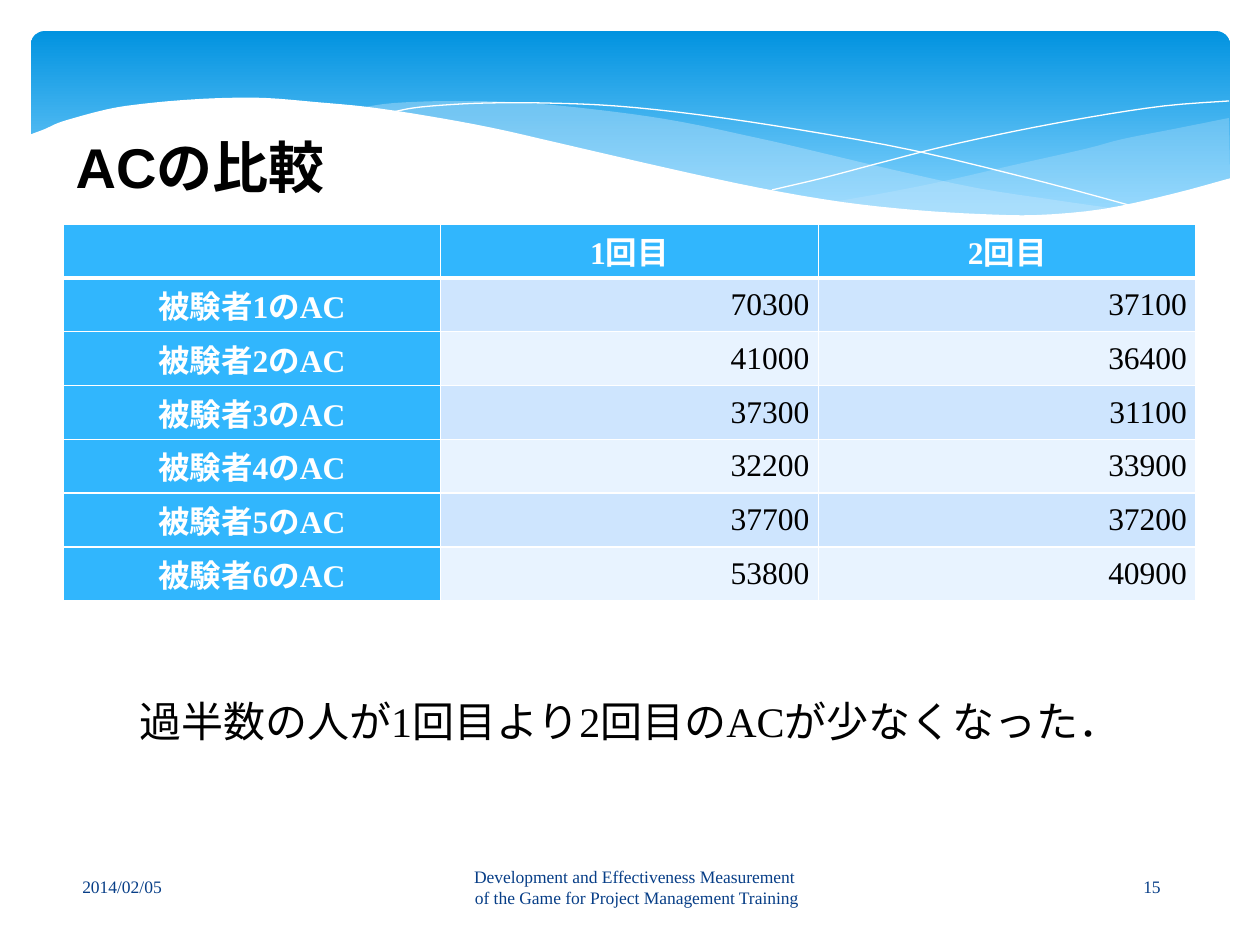
from dataclasses import dataclass
from typing import Optional

from lxml.etree import SubElement
from pptx import Presentation
from pptx.dml.color import RGBColor
from pptx.enum.lang import MSO_LANGUAGE_ID
from pptx.enum.shapes import MSO_SHAPE
from pptx.enum.text import MSO_ANCHOR, MSO_AUTO_SIZE, PP_ALIGN
from pptx.oxml.ns import qn
from pptx.util import Pt

EMU_PER_PX = 914400 / 126
WHITE, BLACK, NAVY = "FFFFFF", "000000", "073E87"
HEADER_BLUE, PALE_BLUE = "31B6FD", "C6E7FC"
BAND_FILLS = ("CEE5FE", "E8F3FF")
SERIF = "Times New Roman"
ACTUAL_COSTS = [
    (70300, 37100), (41000, 36400), (37300, 31100),
    (32200, 33900), (37700, 37200), (53800, 40900),
]

Point = tuple[float, float]


@dataclass
class Curve:
    """Smooth edges joined in order; filled if a fill is given, else a white line."""
    edges: list[list[Point]]
    fill: Optional[str] = None
    opacity: int = 100


@dataclass
class Label:
    text: str
    box: tuple[int, int, int, int]
    size: int = 10
    color: str = NAVY
    anchor: MSO_ANCHOR = MSO_ANCHOR.MIDDLE


CURVES = [
    Curve([
        [(1229, 118), (1174, 129), (1123, 139), (1085, 149), (1014, 165),
         (949, 180), (890, 192), (833, 202)],
        [(833, 202), (906, 210), (954, 214), (1012, 217), (1076, 214),
         (1130, 208), (1178, 197), (1230, 178)],
    ], PALE_BLUE, 29),
    Curve([
        [(1125, 210), (1055, 200), (977, 188), (890, 169), (793, 146),
         (753, 137), (682, 122), (616, 112), (529, 103), (455, 101),
         (394, 103), (360, 108)],
        [(360, 108), (431, 118), (509, 134), (566, 146), (668, 170),
         (757, 189), (838, 203), (910, 212), (989, 217), (1043, 218),
         (1092, 214), (1125, 210)],
    ], PALE_BLUE, 40),
    Curve([[(389, 113), (413, 108), (445, 105), (487, 103), (545, 103),
            (616, 106), (701, 115), (801, 130), (916, 151), (1047, 183),
            (1143, 209)]]),
    Curve([[(772, 190), (823, 178), (876, 164), (942, 147), (1016, 131),
            (1091, 117), (1164, 106), (1229, 101)]]),
    Curve([
        [(1231, 178), (1172, 194), (1103, 209), (1037, 215), (980, 214),
         (915, 210), (842, 202), (760, 188), (667, 168), (563, 144),
         (493, 128), (428, 116), (368, 107), (315, 102), (266, 98),
         (223, 98), (184, 100), (150, 103), (119, 107), (96, 112),
         (74, 118), (58, 123), (45, 129), (29, 135)],
        [(29, 282), (1231, 282)],
    ], WHITE),
]

LABELS = [
    Label("2014/02/05", (44, 862, 156, 50)),
    Label("Development and Effectiveness Measurement \n"
          "of the Game for Project Management Training", (205, 862, 863, 50)),
    Label("15", (1072, 862, 160, 50)),
    Label("過半数の人が1回目より2回目のACが少なくなった．", (0, 689, 1260, 63),
          24, BLACK, MSO_ANCHOR.TOP),
]


def px(value: float) -> int:
    return round(value * EMU_PER_PX)


def rgb(color: str) -> RGBColor:
    return RGBColor.from_string(color)


def write_text(text_frame, text: str, *, size: int, color: str, font: str = SERIF,
               bold: bool = False, align: PP_ALIGN = PP_ALIGN.CENTER) -> None:
    text_frame.text = text
    for paragraph in text_frame.paragraphs:
        paragraph.alignment = align
        for run in paragraph.runs:
            run.font.name, run.font.size, run.font.bold = font, Pt(size), bold
            run.font.color.rgb = rgb(color)
            run.font.language_id = MSO_LANGUAGE_ID.JAPANESE


def smooth(points: list[Point], steps: int = 4) -> list[Point]:
    """Catmull-Rom interpolation through all the points."""
    if len(points) < 3:
        return points
    padded = [points[0], *points, points[-1]]
    result = [points[0]]
    for a, b, c, d in zip(padded, padded[1:], padded[2:], padded[3:]):
        for step in range(1, steps + 1):
            t = step / steps
            result.append(tuple(
                (2 * q + (r - p) * t + (2 * p - 5 * q + 4 * r - s) * t ** 2
                 + (3 * q - p - 3 * r + s) * t ** 3) / 2
                for p, q, r, s in zip(a, b, c, d)))
    return result


def draw_curve(slide, curve: Curve) -> None:
    points = [(px(x), px(y)) for edge in curve.edges for x, y in smooth(edge)]
    builder = slide.shapes.build_freeform(*points[0], scale=1.0)
    builder.add_line_segments(points[1:], close=curve.fill is not None)
    shape = builder.convert_to_shape()
    shape.shadow.inherit = False
    if curve.fill is None:
        shape.fill.background()
        shape.line.color.rgb = rgb(WHITE)
        shape.line.width = Pt(0)
        return
    shape.line.fill.background()
    shape.fill.solid()
    shape.fill.fore_color.rgb = rgb(curve.fill)
    if curve.opacity < 100:
        color = shape._element.spPr.find(qn("a:solidFill")).find(qn("a:srgbClr"))
        SubElement(color, qn("a:alpha"), val=str(curve.opacity * 1000))


def draw_banner(slide) -> None:
    banner = slide.shapes.add_shape(
        MSO_SHAPE.ROUNDED_RECTANGLE, px(31), px(31), px(1199), px(197))
    banner.adjustments[0] = 0.07
    banner.shadow.inherit = False
    banner.line.fill.background()
    banner.fill.gradient()
    banner.fill.gradient_angle = 270
    stops = ((0, "0293E0"), (0.9, "83D3FE"))
    for stop, (position, color) in zip(banner.fill.gradient_stops, stops):
        stop.position = position
        stop.color.rgb = rgb(color)


def draw_label(slide, label: Label) -> None:
    text_frame = slide.shapes.add_textbox(*map(px, label.box)).text_frame
    text_frame.word_wrap = True
    text_frame.vertical_anchor = label.anchor
    write_text(text_frame, label.text, size=label.size, color=label.color)


def format_cell(cell, fill: str, bottom_border: int) -> None:
    cell.vertical_anchor = MSO_ANCHOR.MIDDLE
    cell.margin_left = cell.margin_right = px(9)
    cell.margin_top = cell.margin_bottom = 0
    properties = cell._tc.get_or_add_tcPr()
    for side, width in (("L", 1), ("R", 1), ("T", 1), ("B", bottom_border)):
        border = SubElement(properties, qn(f"a:ln{side}"), w=str(Pt(width)))
        SubElement(SubElement(border, qn("a:solidFill")), qn("a:srgbClr"), val=WHITE)
    cell.fill.solid()
    cell.fill.fore_color.rgb = rgb(fill)


def draw_cost_table(slide) -> None:
    rows = [("", "1回目", "2回目")]
    rows += [(f"被験者{number}のAC", *map(str, costs))
             for number, costs in enumerate(ACTUAL_COSTS, 1)]
    table = slide.shapes.add_table(
        len(rows), 3, px(63), px(224), px(1133), px(377)).table
    for row_index, row in enumerate(rows):
        for column_index, text in enumerate(row):
            cell = table.cell(row_index, column_index)
            header = row_index == 0 or column_index == 0
            fill = HEADER_BLUE if header else BAND_FILLS[(row_index - 1) % 2]
            format_cell(cell, fill, 3 if row_index == 0 else 1)
            if text:
                write_text(cell.text_frame, text, size=18, bold=header,
                           color=WHITE if header else BLACK,
                           align=PP_ALIGN.CENTER if header else PP_ALIGN.RIGHT)


def place_title(slide) -> None:
    """Formats the title and brings it in front of the banner."""
    title = slide.shapes.title
    title.left, title.top, title.width, title.height = map(px, (63, 126, 640, 88))
    title.text_frame.auto_size = MSO_AUTO_SIZE.NONE
    title.text_frame.vertical_anchor = MSO_ANCHOR.TOP
    write_text(title.text_frame, "ACの比較", size=32, color=BLACK, font="Arial",
               bold=True, align=PP_ALIGN.LEFT)
    slide.shapes._spTree.append(title._element)


def main() -> None:
    presentation = Presentation()
    presentation.slide_width, presentation.slide_height = px(1260), px(945)
    slide = presentation.slides.add_slide(presentation.slide_layouts[5])
    draw_banner(slide)
    for curve in CURVES:
        draw_curve(slide, curve)
    draw_cost_table(slide)
    place_title(slide)
    for label in LABELS:
        draw_label(slide, label)
    presentation.save("out.pptx")


if __name__ == "__main__":
    main()
